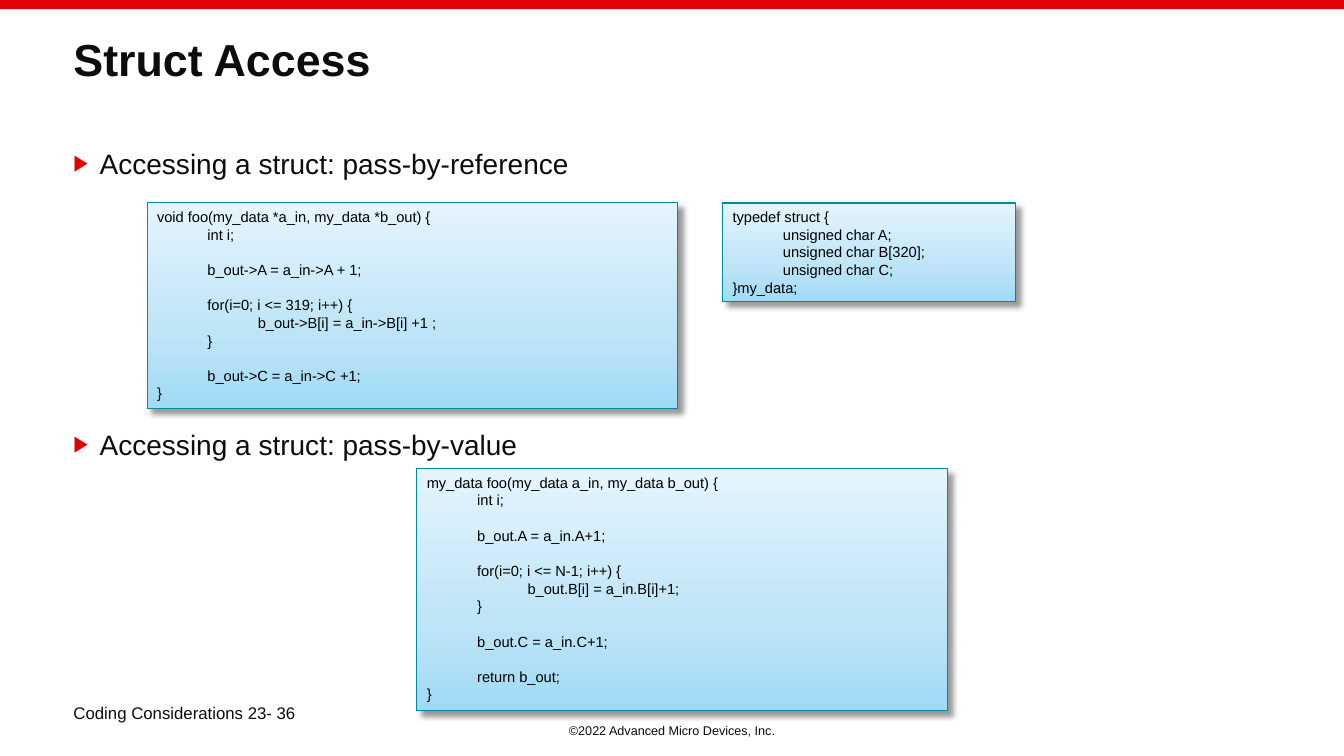
from lxml.etree import SubElement
from pptx import Presentation
from pptx.dml.color import RGBColor
from pptx.enum.shapes import MSO_SHAPE
from pptx.enum.text import MSO_ANCHOR, PP_ALIGN
from pptx.oxml.ns import qn
from pptx.util import Pt

# Content
TITLE = "Struct Access"
POINTS = [
    "Accessing a struct: pass-by-reference",
    "Accessing a struct: pass-by-value",
]
PAGE = "Coding Considerations 23- 36"
RIGHTS = "©2022 Advanced Micro Devices, Inc."
BY_VALUE = """my_data foo(my_data a_in, my_data b_out) {
\tint i;

\tb_out.A = a_in.A+1;

\tfor(i=0; i <= N-1; i++) {
\t\tb_out.B[i] = a_in.B[i]+1;
\t}

\tb_out.C = a_in.C+1;

\treturn b_out;
}"""
BY_REF = """void foo(my_data *a_in, my_data *b_out) {
\tint i;

\tb_out->A = a_in->A + 1;

\tfor(i=0; i <= 319; i++) {
\t\tb_out->B[i] = a_in->B[i] +1 ;
\t}

\tb_out->C = a_in->C +1;
}"""
TYPEDEF = """typedef struct {
\tunsigned char A;
\tunsigned char B[320];
\tunsigned char C;
}my_data;"""

# Code panels: text, (left, top, width, height)
PANELS = [
    (BY_VALUE, (297.8, 334.8, 379, 172.8)),
    (BY_REF, (105.1, 145, 379, 146.9)),
    (TYPEDEF, (516.2, 145, 209.5, 70.6)),
]

THEME = {
    "font": "Arial", "ink": "0C0C0C", "code": "000000",
    "red": "E20000", "edge": "0089A4",
    "grad": [(0, "A0DAF6"), (0.35, "BDE4F7"), (1, "E5F5FD")],
    "title": 32, "point": 20, "page": 12, "rights": 9, "small": 10.5,
}
WIDE, HIGH = 960, 540
LEFT, SPAN = 45.4, 869
INDENT = 18.7
POINT_GAP = 177
ROW = 12.6
TABS = (36, 72)


def rgb(key):
    return RGBColor.from_string(THEME[key])


def style(para, size, ink="ink", bold=False):
    font = para.font
    font.name, font.size, font.bold = THEME["font"], Pt(THEME[size]), bold
    font.color.rgb = rgb(ink)


def add_text(slide, box, lines):
    frame = slide.shapes.add_textbox(*map(Pt, box)).text_frame
    frame.word_wrap = True
    frame.text = "\n".join(lines)
    return frame.paragraphs


def add_bullet(para):
    props = para._p.get_or_add_pPr()
    props.set("marL", str(Pt(INDENT)))
    props.set("indent", str(-Pt(INDENT)))
    tint = SubElement(props, qn("a:buClr"))
    SubElement(tint, qn("a:srgbClr"), val=THEME["red"])
    SubElement(props, qn("a:buSzPct"), val="80000")
    SubElement(props, qn("a:buFont"), typeface=THEME["font"])
    SubElement(props, qn("a:buChar"), char="▶")


def add_tabs(para):
    stops = SubElement(para._p.get_or_add_pPr(), qn("a:tabLst"))
    for stop in TABS:
        SubElement(stops, qn("a:tab"), pos=str(Pt(stop)), algn="l")


def add_shade(shape):
    shape.shadow.inherit = False
    effects = shape._element.spPr.find(qn("a:effectLst"))
    drop = SubElement(effects, qn("a:outerShdw"), blurRad=str(Pt(4)),
                      dist=str(Pt(5)), dir="2700000", algn="tl",
                      rotWithShape="0")
    tint = SubElement(drop, qn("a:srgbClr"), val="000000")
    SubElement(tint, qn("a:alpha"), val="40000")


def fill_panel(shape):
    shape.fill.gradient()
    shape.fill.gradient_angle = 90
    stops = shape._element.spPr.find(".//" + qn("a:gsLst"))
    for stop in list(stops):
        stops.remove(stop)
    for place, tint in THEME["grad"]:
        stop = SubElement(stops, qn("a:gs"), pos=str(int(place * 100000)))
        SubElement(stop, qn("a:srgbClr"), val=tint)


def add_panel(slide, code, box):
    shape = slide.shapes.add_shape(MSO_SHAPE.RECTANGLE, *map(Pt, box))
    fill_panel(shape)
    shape.line.color.rgb = rgb("edge")
    shape.line.width = Pt(0.75)
    add_shade(shape)
    frame = shape.text_frame
    frame.word_wrap = True
    frame.vertical_anchor = MSO_ANCHOR.TOP
    rows = code.split("\n")
    frame.text = "\n".join(row for row in rows if row)
    # An empty code row becomes space before the next one
    gaps = [ROW if i and not rows[i - 1] else 0
            for i, row in enumerate(rows) if row]
    for para, gap in zip(frame.paragraphs, gaps):
        add_tabs(para)
        para.alignment = PP_ALIGN.LEFT
        para.space_before = Pt(gap)
        style(para, "small", "code")


def main():
    deck = Presentation()
    deck.slide_width, deck.slide_height = Pt(WIDE), Pt(HIGH)
    slide = deck.slides.add_slide(deck.slide_layouts[6])

    # Copyright line and top band
    rights = add_text(slide, (0, 512.6, WIDE, 18), [RIGHTS])[0]
    rights.alignment = PP_ALIGN.CENTER
    style(rights, "rights")
    band = slide.shapes.add_shape(MSO_SHAPE.RECTANGLE, 0, 0, Pt(WIDE), Pt(6.5))
    band.shadow.inherit = False
    band.fill.solid()
    band.fill.fore_color.rgb = rgb("red")
    band.line.fill.background()

    # Title
    title = add_text(slide, (LEFT, 23.8, SPAN, 77), [TITLE])[0]
    title.line_spacing = 0.9
    style(title, "title", bold=True)

    # Bullet points
    points = add_text(slide, (LEFT, 100.8, SPAN, 365), POINTS)
    for i, para in enumerate(points):
        add_bullet(para)
        para.space_before = Pt(POINT_GAP * i)
        style(para, "point")

    # Page label
    page = add_text(slide, (LEFT, 498.2, 173.5, 28.8), [PAGE])[0]
    style(page, "page")

    # Code panels
    for code, box in PANELS:
        add_panel(slide, code, box)

    deck.save("out.pptx")


if __name__ == "__main__":
    main()
